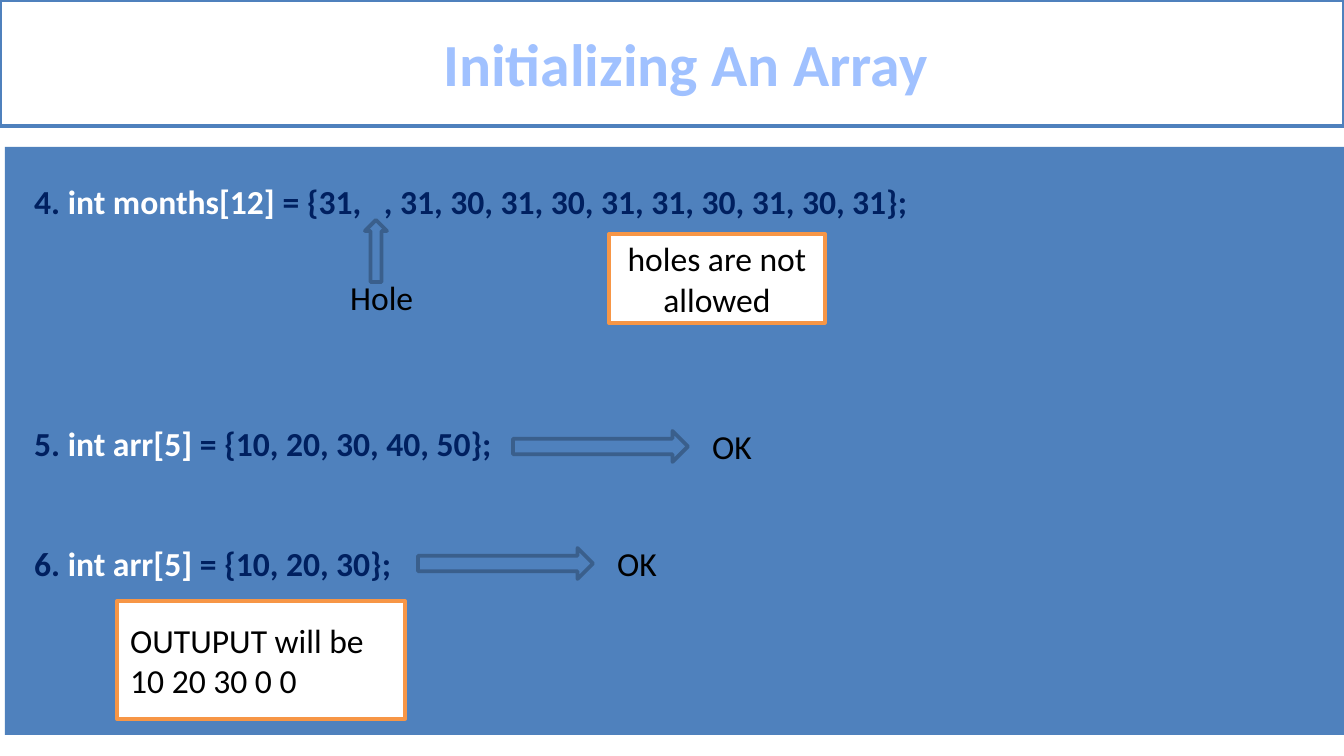
from dataclasses import dataclass

from pptx import Presentation
from pptx.dml.color import RGBColor
from pptx.enum.shapes import MSO_SHAPE
from pptx.enum.text import MSO_ANCHOR, PP_ALIGN
from pptx.shapes.autoshape import Shape
from pptx.slide import Slide
from pptx.text.text import _Paragraph
from pptx.util import Pt

EMU_PER_PX = 914400 / 134.4
RECTANGLE = MSO_SHAPE.RECTANGLE
UP_ARROW = MSO_SHAPE.UP_ARROW
RIGHT_ARROW = MSO_SHAPE.RIGHT_ARROW
MIDDLE = MSO_ANCHOR.MIDDLE
LEFT = PP_ALIGN.LEFT
CENTER = PP_ALIGN.CENTER

FONT = "Calibri"
COLORS = {
    "white": "FFFFFF",
    "black": "000000",
    "blue": "4F81BD",
    "arrow_line": "3A5F8C",
    "orange": "F79646",
    "navy": "002060",
    "title": "A0C1FF",
}


@dataclass(frozen=True)
class Box:
    left: int
    top: int
    width: int
    height: int


@dataclass(frozen=True)
class Statement:
    number: str
    declaration: str
    values: str
    space_before: int


@dataclass(frozen=True)
class Callout:
    box: Box
    lines: tuple[str, ...]
    alignment: PP_ALIGN


STATEMENTS = (
    Statement("4. ", "int months[12] ",
              "= {31,   , 31, 30, 31, 30, 31, 31, 30, 31, 30, 31};", 0),
    Statement("5. ", "int arr[5] ", "= {10, 20, 30, 40, 50};", 108),
    Statement("6. ", "int arr[5] ", "= {10, 20, 30};", 43),
)
CALLOUTS = (
    Callout(Box(609, 234, 216, 89), ("holes are not allowed",), CENTER),
    Callout(Box(117, 601, 288, 118), ("OUTUPUT will be", "10 20 30 0 0"), LEFT),
)
OK_ARROWS = (Box(513, 431, 175, 31), Box(418, 548, 175, 31))


def px(value: int) -> int:
    return round(value * EMU_PER_PX)


def emu(box: Box) -> tuple[int, int, int, int]:
    return px(box.left), px(box.top), px(box.width), px(box.height)


def rgb(color: str) -> RGBColor:
    return RGBColor.from_string(COLORS[color])


def add_run(paragraph: _Paragraph, text: str, color: str,
            size: int = 18, bold: bool = False) -> None:
    run = paragraph.add_run()
    run.text = text
    run.font.name = FONT
    run.font.size = Pt(size)
    run.font.bold = bold
    run.font.color.rgb = rgb(color)


def add_shape(slide: Slide, kind: MSO_SHAPE, box: Box, fill: str,
              line: str | None = None) -> Shape:
    shape = slide.shapes.add_shape(kind, *emu(box))
    shape.shadow.inherit = False
    shape.fill.solid()
    shape.fill.fore_color.rgb = rgb(fill)
    if line:
        shape.line.color.rgb = rgb(line)
        shape.line.width = Pt(2)
    else:
        shape.line.fill.background()
    return shape


def add_title(slide: Slide) -> None:
    shape = add_shape(slide, RECTANGLE, Box(0, 0, 1344, 126), "white", "blue")
    frame = shape.text_frame
    frame.vertical_anchor = MIDDLE
    frame.margin_left = px(41)
    paragraph = frame.paragraphs[0]
    paragraph.alignment = CENTER
    add_run(paragraph, "Initializing An Array", "title", 32, True)


def add_statements(slide: Slide) -> None:
    frame = slide.shapes.add_textbox(*emu(Box(21, 174, 1254, 421))).text_frame
    frame.word_wrap = True
    for index, statement in enumerate(STATEMENTS):
        paragraph = frame.add_paragraph() if index else frame.paragraphs[0]
        if statement.space_before:
            paragraph.space_before = Pt(statement.space_before)
        add_run(paragraph, statement.number, "navy", bold=True)
        add_run(paragraph, statement.declaration, "white", bold=True)
        add_run(paragraph, statement.values, "navy", bold=True)


def add_label(slide: Slide, box: Box, text: str) -> None:
    frame = slide.shapes.add_textbox(*emu(box)).text_frame
    frame.word_wrap = False
    add_run(frame.paragraphs[0], text, "black")


def add_arrow(slide: Slide, kind: MSO_SHAPE, box: Box) -> None:
    add_shape(slide, kind, box, "blue", "arrow_line")


def add_callout(slide: Slide, callout: Callout) -> None:
    frame = add_shape(slide, RECTANGLE, callout.box, "white", "orange").text_frame
    frame.word_wrap = True
    frame.vertical_anchor = MIDDLE
    for index, line in enumerate(callout.lines):
        paragraph = frame.add_paragraph() if index else frame.paragraphs[0]
        paragraph.alignment = callout.alignment
        add_run(paragraph, line, "black")


def main() -> None:
    presentation = Presentation()
    presentation.slide_width = px(1344)
    presentation.slide_height = px(756)
    slide = presentation.slides.add_slide(presentation.slide_layouts[6])

    add_shape(slide, RECTANGLE, Box(5, 147, 1339, 588), "blue")
    add_title(slide)
    add_statements(slide)
    add_label(slide, Box(337, 270, 91, 54), "Hole")
    add_arrow(slide, UP_ARROW, Box(365, 220, 22, 62))
    for arrow in OK_ARROWS:
        add_arrow(slide, RIGHT_ARROW, arrow)
        add_label(slide, Box(arrow.left + 186, arrow.top - 12, 67, 54), "OK")
    for callout in CALLOUTS:
        add_callout(slide, callout)

    presentation.save("out.pptx")


if __name__ == "__main__":
    main()
